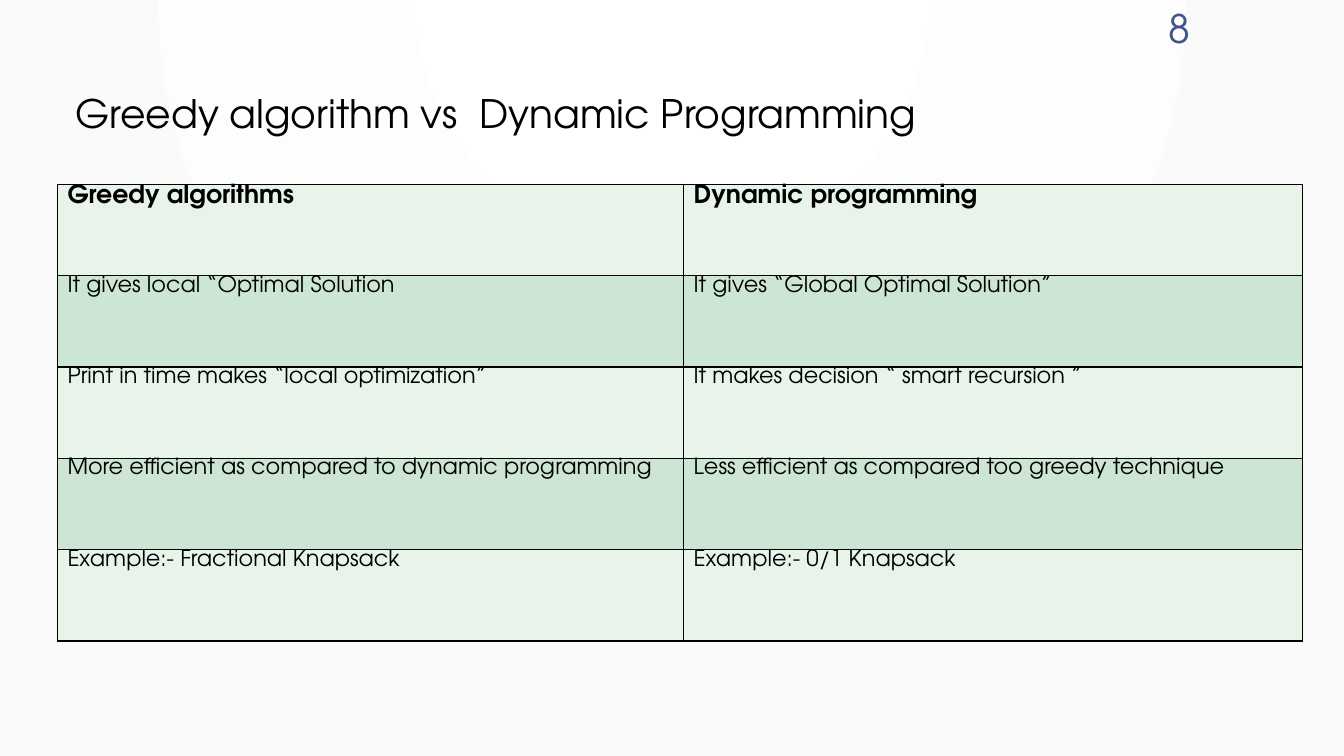
from dataclasses import dataclass

from lxml import etree
from pptx import Presentation
from pptx.dml.color import RGBColor
from pptx.enum.text import MSO_ANCHOR, PP_ALIGN
from pptx.oxml.ns import qn
from pptx.util import Inches, Pt

TOP, MIDDLE = MSO_ANCHOR.TOP, MSO_ANCHOR.MIDDLE
LEFT, RIGHT = PP_ALIGN.LEFT, PP_ALIGN.RIGHT
TITLE_ONLY = 5
BORDER_TAGS = ("a:lnL", "a:lnR", "a:lnT", "a:lnB")

COMPARISON = [
    ("Greedy algorithms", "Dynamic programming"),
    ("It gives local “Optimal Solution", "It gives “Global Optimal Solution”"),
    ("Print in time makes “local optimization”", "It makes decision “ smart recursion ”"),
    ("More efficient as compared to dynamic programming",
     "Less efficient as compared too greedy technique"),
    ("Example:- Fractional Knapsack", "Example:- 0/1 Knapsack"),
]


@dataclass(frozen=True)
class Theme:
    font: str = "TeX Gyre Adventor"
    ink: str = "000000"
    number: str = "415588"
    bands: tuple = ("E8F3EA", "CDE5D3")
    backdrop: tuple = ("FFFFFF", "FAFAFA")
    title_size: int = 28
    header_size: int = 18
    body_size: int = 16
    border: float = 1


class SlideBuilder:
    """Draws styled elements on the current slide."""

    def __init__(self, deck, theme):
        self.theme = theme
        self.page = deck.slides.add_slide(deck.slide_layouts[TITLE_ONLY])

    def backdrop(self):
        fill = self.page.background.fill
        fill.gradient()
        for stop, color in zip(fill.gradient_stops, self.theme.backdrop):
            stop.color.rgb = RGBColor.from_string(color)
        gradient = next(self.page.element.iter(qn("a:gradFill")))
        gradient.remove(gradient.find(qn("a:lin")))
        circle = etree.SubElement(gradient, qn("a:path"), path="circle")
        etree.SubElement(circle, qn("a:fillToRect"), l="43000", t="0", r="43000", b="100000")

    def set_text(self, frame, text, size, color, bold=False, align=LEFT):
        frame.text = text
        frame.word_wrap = True
        para = frame.paragraphs[0]
        para.alignment = align
        for span in para.runs:
            span.font.name = self.theme.font
            span.font.size = Pt(size)
            span.font.bold = bold
            span.font.color.rgb = RGBColor.from_string(color)
        return para

    def title(self, text, left, top, width, height):
        box = self.page.shapes.title
        box.left, box.top = Inches(left), Inches(top)
        box.width, box.height = Inches(width), Inches(height)
        para = self.set_text(box.text_frame, text, self.theme.title_size, self.theme.ink)
        para.line_spacing = 0.9
        box.text_frame.vertical_anchor = TOP

    def page_number(self, text, left, top, width, height):
        box = self.page.shapes.add_textbox(
            Inches(left), Inches(top), Inches(width), Inches(height))
        self.set_text(box.text_frame, text, self.theme.title_size, self.theme.number, align=RIGHT)
        box.text_frame.vertical_anchor = MIDDLE

    def table(self, rows, left, top, widths, height):
        table = self.page.shapes.add_table(
            len(rows), len(widths), Inches(left), Inches(top),
            Inches(sum(widths)), Inches(height)).table
        for column, width in zip(table.columns, widths):
            column.width = Inches(width)
        for row_index, texts in enumerate(rows):
            is_header = row_index == 0
            size = self.theme.header_size if is_header else self.theme.body_size
            band = self.theme.bands[row_index % 2]
            for column_index, text in enumerate(texts):
                cell = table.cell(row_index, column_index)
                self.set_text(cell.text_frame, text, size, self.theme.ink, bold=is_header)
                self.style_cell(cell, band)

    def style_cell(self, cell, band):
        cell.margin_top = cell.margin_bottom = 0
        cell.vertical_anchor = TOP
        properties = cell._tc.get_or_add_tcPr()
        for tag in BORDER_TAGS:
            line = etree.SubElement(properties, qn(tag), w=str(Pt(self.theme.border)))
            solid = etree.SubElement(line, qn("a:solidFill"))
            etree.SubElement(solid, qn("a:srgbClr"), val=self.theme.ink)
        cell.fill.solid()
        cell.fill.fore_color.rgb = RGBColor.from_string(band)


def main():
    deck = Presentation()
    deck.slide_width, deck.slide_height = Inches(13.33), Inches(7.5)
    builder = SlideBuilder(deck, Theme())
    builder.backdrop()
    builder.page_number("8", 11.01, 0, 0.89, 0.55)
    builder.table(COMPARISON, 0.57, 1.83, (6.21, 6.14), 4.53)
    builder.title("Greedy algorithm vs  Dynamic Programming", 0.65, 0.89, 12.07, 1.15)
    deck.save("out.pptx")


if __name__ == "__main__":
    main()
